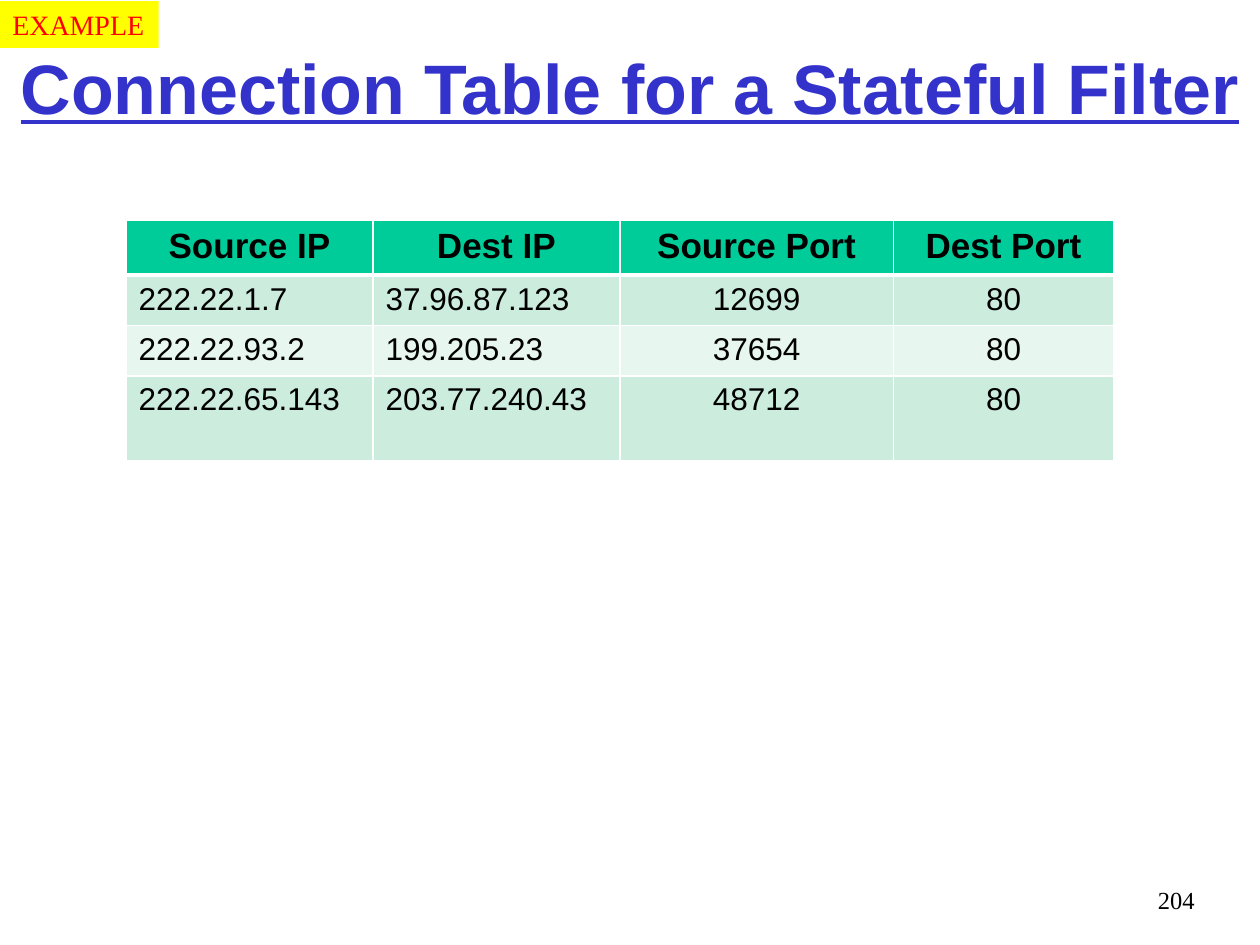
from lxml import etree
from pptx import Presentation, util as u
from pptx.dml.color import RGBColor
from pptx.enum import shapes, text
from pptx.oxml import ns

COLORS = {
    "title": "3333CC", "ink": "000000", "line": "FFFFFF", "header": "00CC99",
    "odd": "CCECDE", "even": "E7F6EF", "tag": "FFFF00", "tag_text": "FF0000",
}
SANS, SERIF = "Arial", "Times New Roman"
LEFT, CENTER, RIGHT = text.PP_ALIGN.LEFT, text.PP_ALIGN.CENTER, text.PP_ALIGN.RIGHT


class SlideBuilder:
    """Holds the style and the current slide, and adds each kind of element."""

    def __init__(self, presentation):
        self.slide = presentation.slides.add_slide(presentation.slide_layouts[5])

    def color(self, name):
        return RGBColor.from_string(COLORS[name])

    def set_text(self, frame, words, size, font, color="ink", align=LEFT, bold=False):
        frame.text = words
        paragraph = frame.paragraphs[0]
        paragraph.alignment = align
        paragraph.font.size = u.Pt(size)
        paragraph.font.name = font
        paragraph.font.bold = bold
        paragraph.font.color.rgb = self.color(color)
        return paragraph

    def title(self, words, box):
        shape = self.slide.shapes.title
        shape.left, shape.top, shape.width, shape.height = map(u.Inches, box)
        shape.text_frame.vertical_anchor = text.MSO_ANCHOR.MIDDLE
        paragraph = self.set_text(shape.text_frame, words, 40, SANS, "title", CENTER, True)
        paragraph.font.underline = True

    def page_number(self, words, box):
        shape = self.slide.shapes.add_textbox(*map(u.Inches, box))
        shape.text_frame.word_wrap = True
        paragraph = self.set_text(shape.text_frame, words, 14, SERIF, align=RIGHT)
        paragraph.line_spacing = 0.92

    def tag(self, words, box):
        shape = self.slide.shapes.add_shape(shapes.MSO_SHAPE.RECTANGLE, *map(u.Inches, box))
        shape.shadow.inherit = False
        shape.fill.solid()
        shape.fill.fore_color.rgb = self.color("tag")
        shape.line.fill.background()
        shape.text_frame.word_wrap = False
        self.set_text(shape.text_frame, words, 16, SERIF, "tag_text")

    def border(self, cell, side, points):
        line = etree.SubElement(cell._tc.get_or_add_tcPr(), ns.qn(f"a:ln{side}"), w=str(u.Pt(points)))
        fill = etree.SubElement(line, ns.qn("a:solidFill"))
        etree.SubElement(fill, ns.qn("a:srgbClr"), val=COLORS["line"])

    def table(self, rows, box, widths, heights, aligns):
        frame = self.slide.shapes.add_table(len(rows), len(widths), *map(u.Inches, box))
        table = frame.table
        for column, width in zip(table.columns, widths):
            column.width = u.Inches(width)
        for row, height in zip(table.rows, heights):
            row.height = u.Inches(height)
        for i, values in enumerate(rows):
            header = i == 0
            fill = "header" if header else "odd" if i % 2 else "even"
            weights = {"L": 1, "R": 1, "T": 3 if i == 1 else 1, "B": 3 if header else 1}
            for j, value in enumerate(values):
                cell = table.cell(i, j)
                for side, points in weights.items():
                    self.border(cell, side, points)
                cell.fill.solid()
                cell.fill.fore_color.rgb = self.color(fill)
                self.set_text(cell.text_frame, value, 20 if header else 18, SANS,
                              align=CENTER if header else aligns[j], bold=header)


def main():
    presentation = Presentation()
    presentation.slide_width, presentation.slide_height = u.Inches(10), u.Inches(7.5)
    builder = SlideBuilder(presentation)
    builder.page_number("204", (9.08, 7, 0.5, 0.31))
    builder.title("Connection Table for a Stateful Filter", (0, 0.12, 10, 1.13))
    builder.table(
        [
            ("Source IP", "Dest IP", "Source Port", "Dest Port"),
            ("222.22.1.7", "37.96.87.123", "12699", "80"),
            ("222.22.93.2", "199.205.23", "37654", "80"),
            ("222.22.65.143", "203.77.240.43", "48712", "80"),
        ],
        box=(1, 1.75, 7.83, 1.9),
        widths=(1.96, 1.96, 2.17, 1.75),
        heights=(0.43, 0.4, 0.4, 0.67),
        aligns=(LEFT, LEFT, CENTER, CENTER),
    )
    builder.tag("EXAMPLE", (0, 0.01, 1.26, 0.37))
    presentation.save("out.pptx")


if __name__ == "__main__":
    main()
